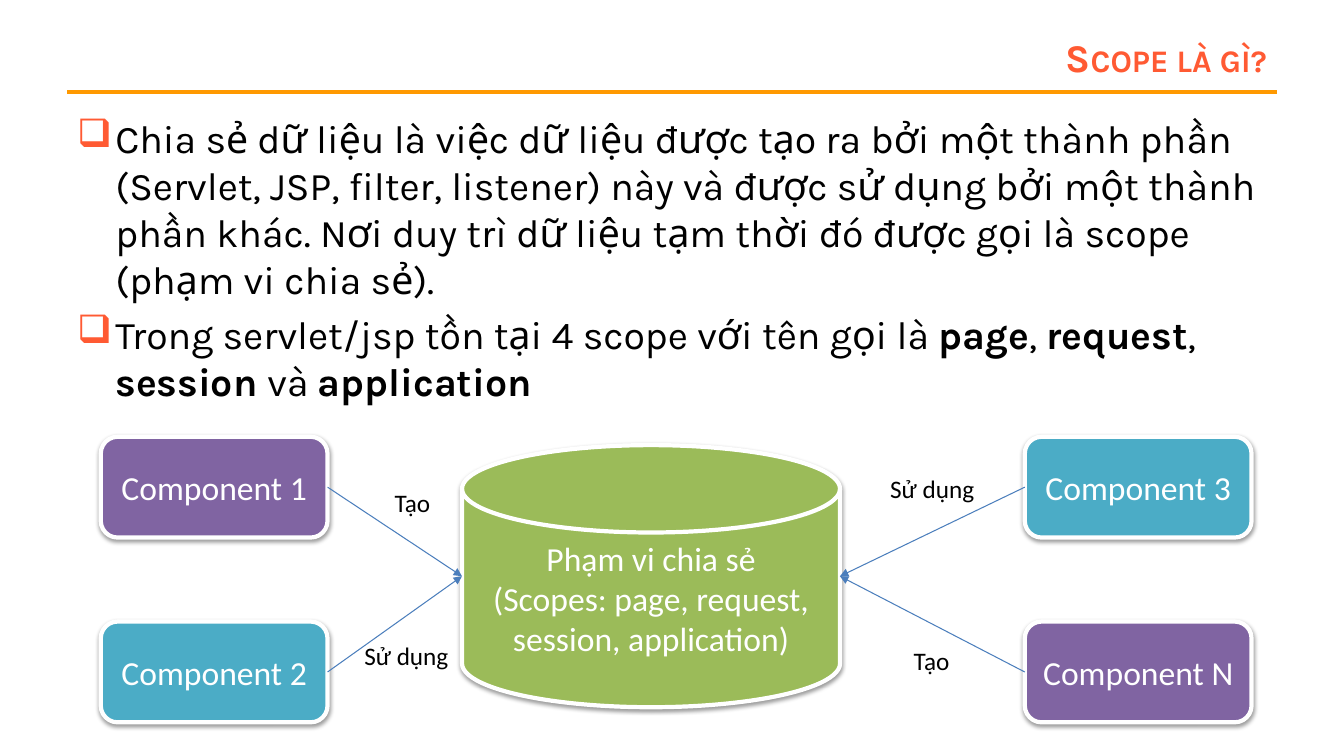
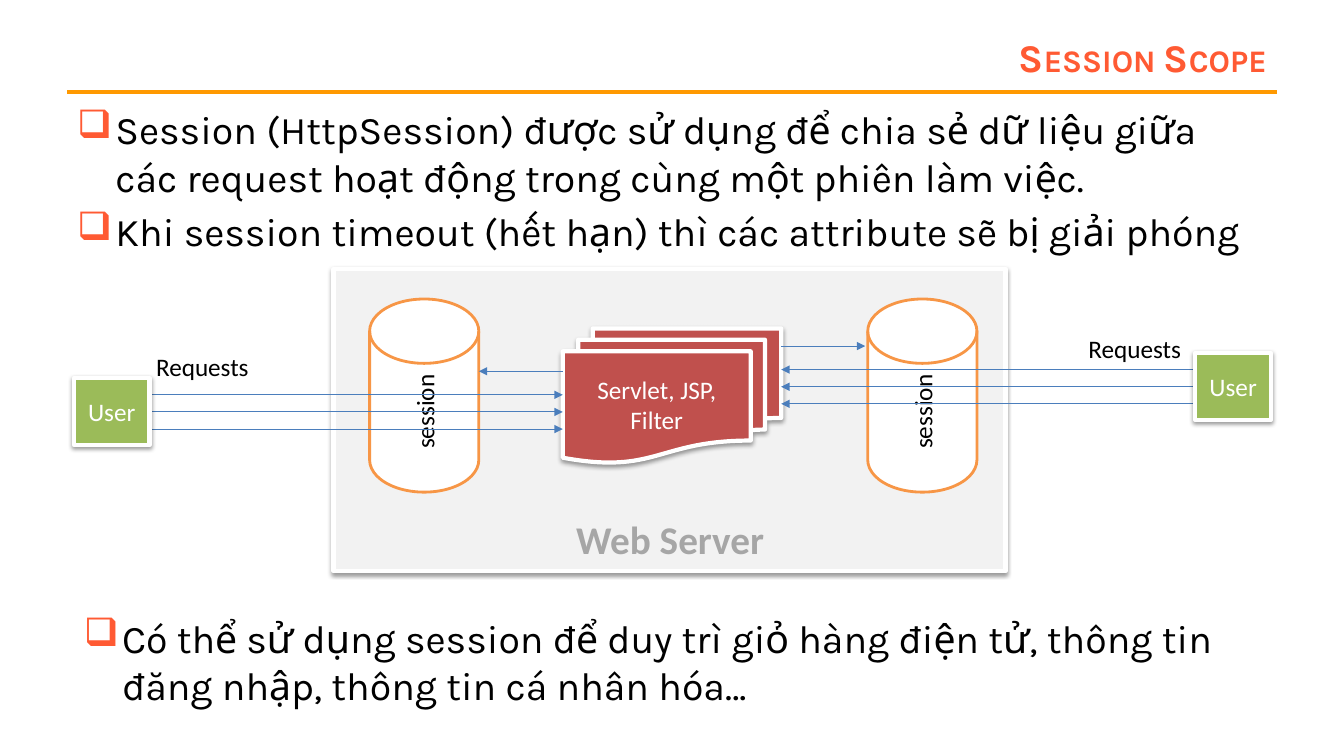
from lxml import etree
from pptx import Presentation
from pptx import util as u
from pptx.dml.color import RGBColor
from pptx.enum import shapes, text
from pptx.oxml.ns import qn

COLOURS = {
    "title": "FF5A33", "rule": "FF9900", "ink": "000000", "white": "FFFFFF",
    "green": "9BBB59", "purple": "8064A2", "teal": "4BACC6", "red": "C0504D",
    "orange": "F79646", "arrow": "4B7EBC", "panel": "F2F2F2", "grey": "A6A6A6",
}
HEADING_FONT, DIAGRAM_FONT = "Karla", "Calibri"
COLUMNS, ROWS = 160, 90
SHAPES = shapes.MSO_SHAPE
ALIGN = text.PP_ALIGN


def colour(name):
    return RGBColor.from_string(COLOURS[name])


def add_xml(parent, tag, **attributes):
    return etree.SubElement(parent, qn(tag), attributes)


class Deck:
    """Holds the style and the current slide; lengths are grid columns and rows."""

    def __init__(self):
        self.presentation = Presentation()
        self.presentation.slide_width = u.Inches(13.33)
        self.presentation.slide_height = u.Inches(7.5)
        self.slide = None

    def place(self, *lengths):
        """Turn alternating columns and rows into lengths on the slide."""
        column = self.presentation.slide_width / COLUMNS
        row = self.presentation.slide_height / ROWS
        return [u.Emu(round(length * (row if index % 2 else column)))
                for index, length in enumerate(lengths)]

    def new_slide(self, title):
        self.slide = self.presentation.slides.add_slide(self.presentation.slide_layouts[6])
        self.line(8, 11, 152, 11, "rule", 3)
        frame = self.text_frame(29.3, 3.6, 122.7, 6.4)
        frame.vertical_anchor = text.MSO_ANCHOR.MIDDLE
        paragraph = frame.paragraphs[0]
        self.fill_paragraph(paragraph, title, 28, "title", HEADING_FONT, ALIGN.RIGHT, bold=True)
        paragraph._p.pPr.find(qn("a:defRPr")).set("cap", "small")

    def text_frame(self, left, top, width, height):
        box = self.slide.shapes.add_textbox(*self.place(left, top, width, height))
        box.text_frame.word_wrap = True
        return box.text_frame

    def fill_paragraph(self, paragraph, words, size, ink, font=DIAGRAM_FONT,
                       align=ALIGN.LEFT, bold=None):
        """Style and fill a paragraph; words between asterisks are bold."""
        paragraph.alignment = align
        paragraph.font.name = font
        paragraph.font.size = u.Pt(size)
        paragraph.font.color.rgb = colour(ink)
        paragraph.font.bold = bold
        for index, part in enumerate(words.split("*")):
            if part:
                run = paragraph.add_run()
                run.text = part
                if index % 2:
                    run.font.bold = True

    def bullets(self, left, top, width, height, items):
        frame = self.text_frame(left, top, width, height)
        for index, item in enumerate(items):
            paragraph = frame.add_paragraph() if index else frame.paragraphs[0]
            paragraph.space_before = u.Pt(5.6)
            properties = paragraph._p.get_or_add_pPr()
            indent = u.Inches(0.38)
            properties.set("marL", str(indent))
            properties.set("indent", str(-indent))
            add_xml(add_xml(properties, "a:buClr"), "a:srgbClr", val=COLOURS["title"])
            add_xml(properties, "a:buChar", char="❑")
            self.fill_paragraph(paragraph, item, 28, "ink", HEADING_FONT)

    def label(self, left, top, width, words, size=18, ink="ink", height=4.8, bold=None):
        frame = self.text_frame(left, top, width, height)
        frame.word_wrap = False
        frame.auto_size = text.MSO_AUTO_SIZE.SHAPE_TO_FIT_TEXT
        self.fill_paragraph(frame.paragraphs[0], words, size, ink, bold=bold)

    def block(self, kind, left, top, width, height, fill, words=(), size=18,
              ink="white", outline="white", weight=3, shadow=True):
        shape = self.slide.shapes.add_shape(kind, *self.place(left, top, width, height))
        shape.fill.solid()
        shape.fill.fore_color.rgb = colour(fill)
        shape.line.color.rgb = colour(outline)
        shape.line.width = u.Pt(weight)
        shape.shadow.inherit = False
        if shadow:
            effects = shape._element.spPr.find(qn("a:effectLst"))
            outer = add_xml(effects, "a:outerShdw", blurRad="40000", dist="20000",
                            dir="5400000", rotWithShape="0")
            shade = add_xml(outer, "a:srgbClr", val=COLOURS["ink"])
            add_xml(shade, "a:alpha", val="38000")
        frame = shape.text_frame
        frame.vertical_anchor = text.MSO_ANCHOR.MIDDLE
        for index, line in enumerate(words):
            paragraph = frame.add_paragraph() if index else frame.paragraphs[0]
            self.fill_paragraph(paragraph, line, size, ink, align=ALIGN.CENTER)
        return shape

    def session_store(self, left):
        store = self.block(SHAPES.FLOWCHART_MAGNETIC_DISK, left, 35.6, 13, 23, "white",
                           ["session"], ink="ink", outline="orange", weight=2, shadow=False)
        store.text_frame._txBody.bodyPr.set("vert", "vert270")

    def line(self, x1, y1, x2, y2, ink, weight):
        connector = self.slide.shapes.add_connector(
            shapes.MSO_CONNECTOR.STRAIGHT, *self.place(x1, y1, x2, y2))
        connector.line.color.rgb = colour(ink)
        connector.line.width = u.Pt(weight)
        add_xml(connector._element.spPr, "a:effectLst")
        return connector

    def arrow(self, x1, y1, x2, y2):
        connector = self.line(x1, y1, x2, y2, "arrow", 0.75)
        add_xml(connector._element.spPr.find(qn("a:ln")), "a:tailEnd", type="triangle")


def scope_slide(deck):
    deck.new_slide("Scope là gì?")
    deck.bullets(8, 13, 144, 69, [
        "Chia sẻ dữ liệu là việc dữ liệu được tạo ra bởi một thành phần (Servlet, JSP, "
        "filter, listener) này và được sử dụng bởi một thành phần khác. Nơi duy trì dữ "
        "liệu tạm thời đó được gọi là scope (phạm vi chia sẻ).",
        "Trong servlet/jsp tồn tại 4 scope với tên gọi là *page*, *request*, "
        "*session *và *application*",
    ])
    store_left, store_top, store_width, store_height = 55, 53, 45, 31.2
    deck.block(SHAPES.FLOWCHART_MAGNETIC_DISK, store_left, store_top, store_width, store_height,
               "green", ["Phạm vi chia sẻ", "(Scopes: page, request, session, application)"], 24)
    width, height = 27, 12
    left_side = (12, 12 + width, store_left)
    right_side = (122, 122, store_left + store_width)
    for (left, start, end), top, fill, name in (
            (left_side, 52, "purple", "1"), (left_side, 74, "teal", "2"),
            (right_side, 52, "teal", "3"), (right_side, 74, "purple", "N")):
        deck.block(SHAPES.ROUNDED_RECTANGLE, left, top, width, height, fill,
                   [f"Component {name}"], 24)
        deck.arrow(start, top + height / 2, end, store_top + store_height / 2)
    for left, top in ((45.8, 57.4), (107.6, 76.2)):
        deck.label(left, top, 6.7, "Tạo")
    for left, top in ((104.8, 55.8), (42.2, 75.7)):
        deck.label(left, top, 12.6, "Sử dụng")


def session_slide(deck):
    deck.new_slide("Session Scope")
    deck.bullets(8, 12, 144, 18.1, [
        "Session (HttpSession) được sử dụng để chia sẻ dữ liệu giữa các request hoạt động "
        "trong cùng một phiên làm việc.",
        "Khi session timeout (hết hạn) thì các attribute sẽ bị giải phóng",
    ])
    deck.block(SHAPES.RECTANGLE, 39.7, 32, 80, 36, "panel")
    pages_left, pages_width = 67, 26
    pages_right = pages_left + pages_width
    deck.block(SHAPES.FLOWCHART_MULTIDOCUMENT, pages_left, 39.1, pages_width, 16, "red",
               ["Servlet, JSP, Filter"])
    for store_left in (44, 103.3):
        deck.session_store(store_left)
    for user_edge, pages_edge, first_row in ((18, pages_left, 47), (142, pages_right, 44)):
        for step in range(3):
            row = first_row + step * 2.04
            deck.arrow(user_edge, row, pages_edge, row)
    deck.arrow(pages_left, 44.2, 57, 44.2)
    deck.arrow(pages_right, 41.2, 103, 41.2)
    for user_left, user_top, label_left, label_top in (
            (8.8, 45, 17.4, 41.2), (142.3, 42, 128.4, 39.1)):
        deck.block(SHAPES.RECTANGLE, user_left, user_top, 9, 8, "green", ["User"])
        deck.label(label_left, label_top, 13.6, "Requests")
    deck.bullets(8.8, 72.5, 144, 12.5, [
        "Có thể sử dụng session để duy trì giỏ hàng điện tử, thông tin đăng nhập, "
        "thông tin cá nhân hóa…",
    ])
    deck.label(67.4, 60.8, 25.1, "Web Server", 28, "grey", 6.8, bold=True)


def main():
    deck = Deck()
    scope_slide(deck)
    session_slide(deck)
    deck.presentation.save("out.pptx")


if __name__ == "__main__":
    main()
